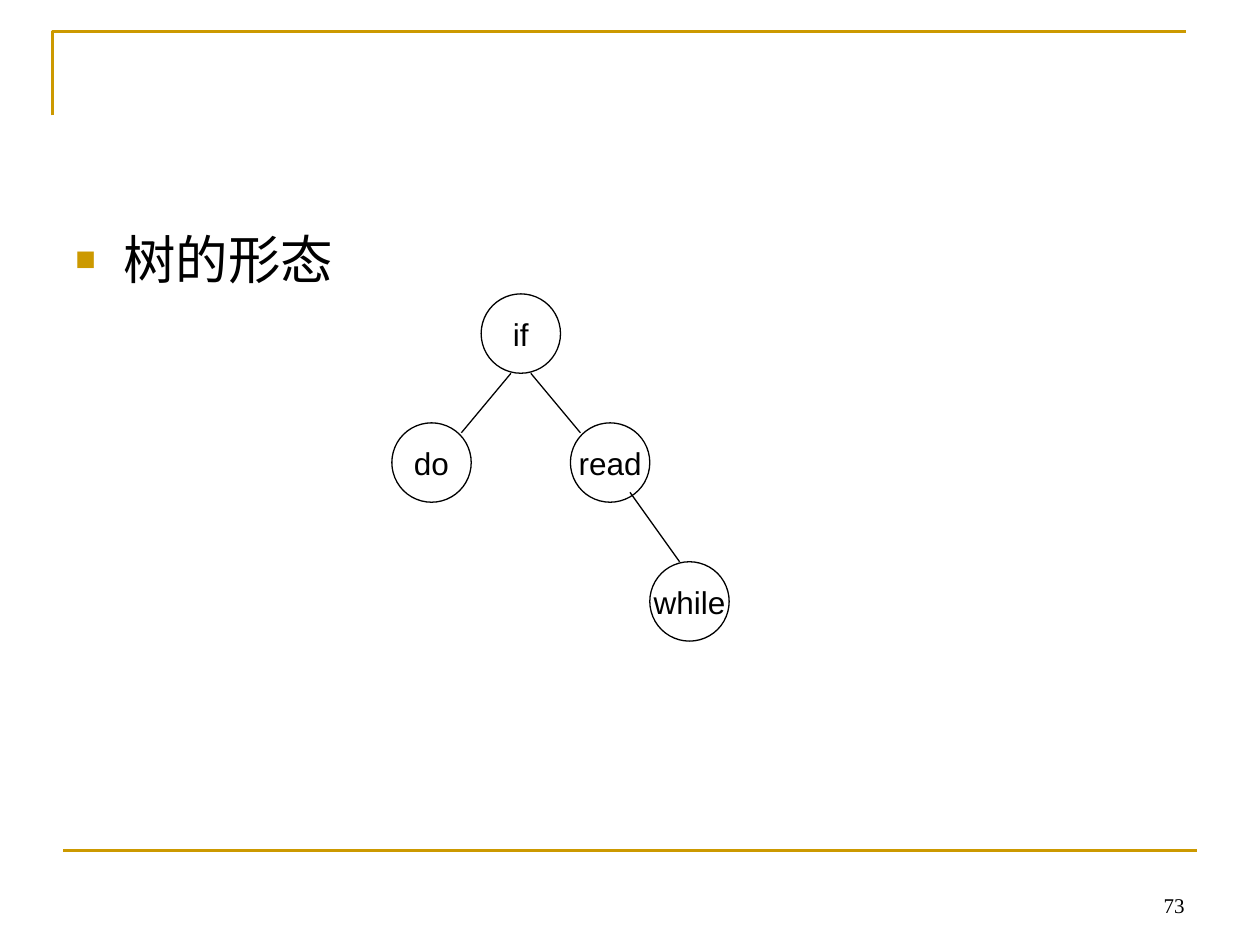
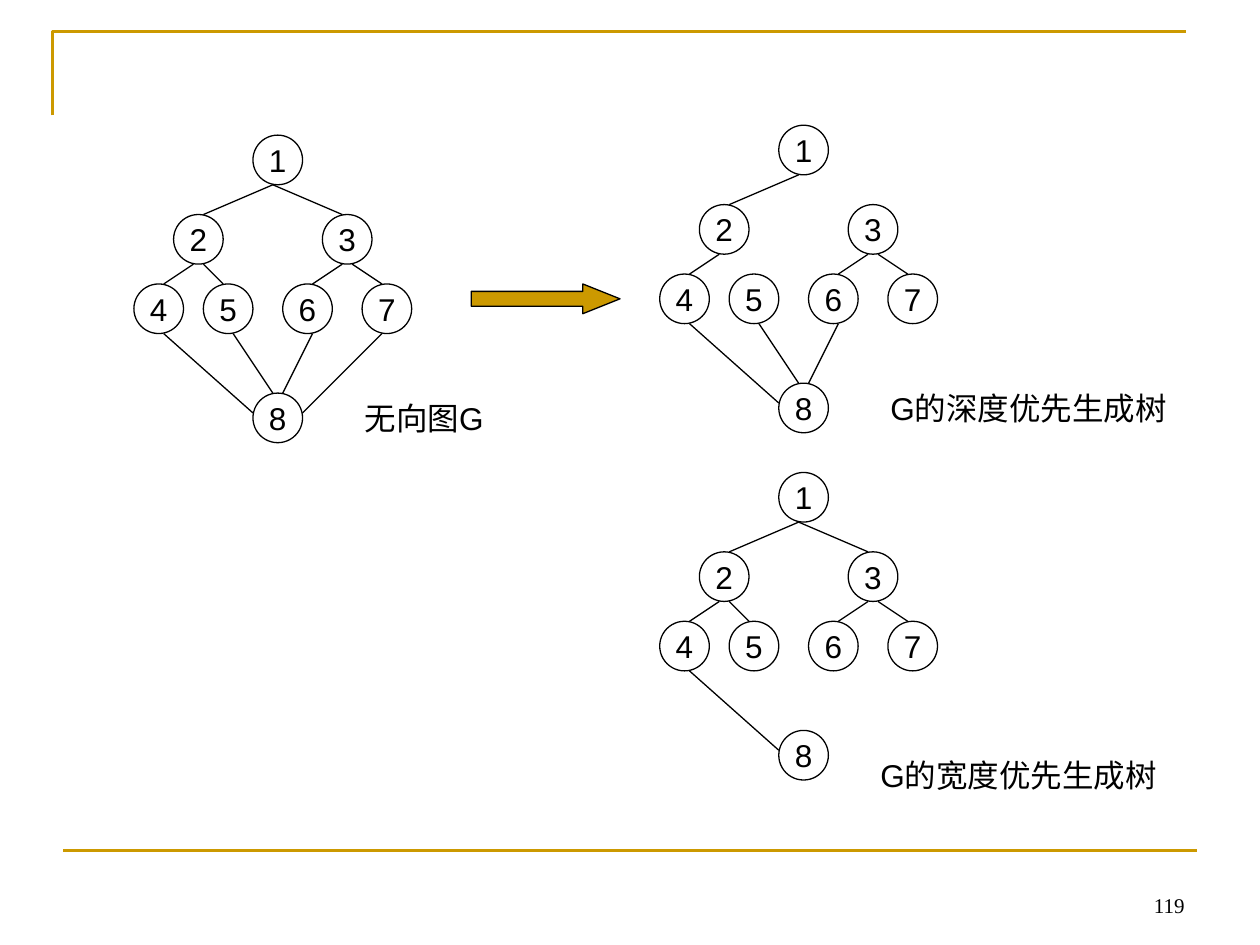
from dataclasses import dataclass
from typing import Any, NamedTuple

from lxml.etree import SubElement
from pptx import Presentation
from pptx.dml.color import RGBColor
from pptx.enum.shapes import MSO_CONNECTOR, MSO_SHAPE
from pptx.enum.text import MSO_ANCHOR, PP_ALIGN
from pptx.oxml.ns import qn
from pptx.util import Emu, Inches, Pt

WIDTH, HEIGHT = Inches(10), Inches(7.5)
Point = tuple[float, float]


@dataclass(frozen=True)
class Theme:
    """Colours, fonts, type sizes and line widths of the deck."""

    gold: RGBColor = RGBColor(0xCC, 0x99, 0x00)
    ink: RGBColor = RGBColor(0, 0, 0)
    sans: str = "Arial"
    serif: str = "Times New Roman"
    body: Pt = Pt(30)
    label: Pt = Pt(18)
    number: Pt = Pt(12)
    rule: Pt = Pt(1.5)
    edge: Pt = Pt(0.75)


@dataclass(frozen=True)
class Grid:
    """Square grid of equal columns, centred vertically on whole rows."""

    columns: int

    @property
    def step(self) -> float:
        """Return the side of one cell."""
        return WIDTH / self.columns

    def point(self, x: float, y: float) -> tuple[Emu, Emu]:
        """Return the slide position of a column and a row."""
        top = HEIGHT % self.step / 2
        return Emu(round(x * self.step)), Emu(round(top + y * self.step))

    def box(self, x: float, y: float, w: float, h: float) -> tuple[Emu, ...]:
        """Return left, top, width and height of a block of cells."""
        return *self.point(x, y), Emu(round(w * self.step)), Emu(round(h * self.step))


class Edge(NamedTuple):
    """Line between two nodes, with its ends as offsets from their centres."""

    start: str
    end: str
    leave: Point
    arrive: Point


class Caption(NamedTuple):
    """Text beside a graph, placed from the graph's first node row."""

    text: str
    x: float
    y: float
    w: float
    h: float


class Graph(NamedTuple):
    """Circles and lines placed from one origin."""

    origin: Point
    size: float
    nodes: dict[str, Point]
    edges: list[Edge]
    caption: Caption | None = None


THEME = Theme()
PAGE = Grid(120)
CANVAS = Grid(127)

KEYWORD_TREE = Graph(
    (52.5, 33.5),
    8,
    {"if": (0, 0), "do": (-9, 13), "read": (9, 13), "while": (17, 27)},
    [
        Edge("if", "do", (-1, 4), (3, -3)),
        Edge("if", "read", (1, 4), (-3, -3)),
        Edge("read", "while", (2, 3), (-1, -4)),
    ],
)

NUMBERED = {
    "1": (12, 0),
    "2": (4, 8),
    "3": (19, 8),
    "4": (0, 15),
    "5": (7, 15),
    "6": (15, 15),
    "7": (23, 15),
    "8": (12, 26),
}
LOW_LEFT, LOW_RIGHT = (-0.5, 2.5), (0.5, 2.5)
TOP_LEFT, TOP_RIGHT = (-0.5, -2.5), (0.5, -2.5)
EDGES = {
    e.start + e.end: e
    for e in (
        Edge("1", "2", LOW_LEFT, TOP_RIGHT),
        Edge("1", "3", LOW_LEFT, TOP_LEFT),
        Edge("2", "4", LOW_LEFT, TOP_RIGHT),
        Edge("2", "5", LOW_RIGHT, TOP_LEFT),
        Edge("3", "6", LOW_LEFT, TOP_RIGHT),
        Edge("3", "7", LOW_RIGHT, TOP_LEFT),
        Edge("4", "8", LOW_RIGHT, (-2.5, -0.5)),
        Edge("5", "8", LOW_RIGHT, TOP_LEFT),
        Edge("6", "8", LOW_RIGHT, TOP_RIGHT),
        Edge("7", "8", LOW_LEFT, (2.5, -0.5)),
    )
}


def numbered_graph(origin: Point, edges: str, caption: Caption) -> Graph:
    """Return the eight-node graph with the named edges."""
    return Graph(origin, 5, NUMBERED, [EDGES[e] for e in edges.split()], caption)


GRAPHS = [
    numbered_graph((16, 16), " ".join(EDGES), Caption("无向图G", 19.5, 23.5, 17, 5)),
    numbered_graph(
        (69, 50), "12 13 24 25 36 37 48", Caption("G的宽度优先生成树", 18.5, 25.5, 32, 5)
    ),
    numbered_graph(
        (69, 15), "12 24 36 37 48 58 68", Caption("G的深度优先生成树", 19.5, 23.5, 31, 9)
    ),
]


def apply(target: Any, formats: dict[str, Any]) -> None:
    """Set each named attribute on the target."""
    for name, value in formats.items():
        setattr(target, name, value)


def write(
    sp: Any, text: str, size: Pt, font: str = THEME.sans, align: Any = PP_ALIGN.LEFT, **frame: Any
) -> Any:
    """Put one styled paragraph in a shape and return the paragraph."""
    tf = sp.text_frame
    apply(tf, {"word_wrap": True, "vertical_anchor": MSO_ANCHOR.TOP} | frame)
    p = tf.paragraphs[0]
    p.alignment = align
    r = p.add_run()
    r.text = text
    apply(r.font, {"size": size, "name": font})
    r.font.color.rgb = THEME.ink
    return p


def outline(sp: Any, color: RGBColor, width: Pt, fill: RGBColor | None = None) -> None:
    """Give a shape a flat fill and line without a shadow."""
    sp.shadow.inherit = False
    sp.line.color.rgb = color
    sp.line.width = width
    if fill is None:
        sp.fill.background()
    else:
        sp.fill.solid()
        sp.fill.fore_color.rgb = fill


def draw_line(
    shapes: Any, grid: Grid, start: Point, end: Point, color: RGBColor, width: Pt
) -> None:
    """Draw a straight line between two grid points."""
    c = shapes.add_connector(MSO_CONNECTOR.STRAIGHT, *grid.point(*start), *grid.point(*end))
    c.line.color.rgb = color
    c.line.width = width
    SubElement(c._element.spPr, qn("a:effectLst"))


def draw_graph(shapes: Any, graph: Graph) -> None:
    """Draw the nodes, edges and caption of a graph."""
    ox, oy = graph.origin
    centres = {name: (ox + x, oy + y) for name, (x, y) in graph.nodes.items()}
    half = graph.size / 2
    for name, (x, y) in centres.items():
        box = CANVAS.box(x - half, y - half, graph.size, graph.size)
        sp = shapes.add_shape(MSO_SHAPE.OVAL, *box)
        outline(sp, THEME.ink, THEME.edge)
        frame = {"word_wrap": False, "vertical_anchor": MSO_ANCHOR.MIDDLE}
        write(sp, name, THEME.label, align=PP_ALIGN.CENTER, **frame)
    for e in graph.edges:
        (x1, y1), (x2, y2) = centres[e.start], centres[e.end]
        start = (x1 + e.leave[0], y1 + e.leave[1])
        end = (x2 + e.arrive[0], y2 + e.arrive[1])
        draw_line(shapes, CANVAS, start, end, THEME.ink, THEME.edge)
    if graph.caption:
        text, x, y, w, h = graph.caption
        write(shapes.add_textbox(*CANVAS.box(ox + x, oy + y, w, h)), text, THEME.label)


def add_bullet(p: Any) -> None:
    """Give a paragraph a hanging gold square bullet."""
    pPr = p._p.get_or_add_pPr()
    apply_indent = {"marL": Inches(0.38), "indent": -Inches(0.38)}
    for name, value in apply_indent.items():
        pPr.set(name, str(value))
    color = SubElement(pPr, qn("a:buClr"))
    SubElement(color, qn("a:srgbClr"), val=str(THEME.gold))
    SubElement(pPr, qn("a:buSzPct"), val="65000")
    SubElement(pPr, qn("a:buFont"), typeface=THEME.sans)
    SubElement(pPr, qn("a:buChar"), char="■")


def add_page(prs: Any, number: int) -> Any:
    """Add a blank slide with the shared frame and page number."""
    s = prs.slides.add_slide(prs.slide_layouts[6])
    builder = s.shapes.build_freeform(*PAGE.point(5, 11))
    builder.add_line_segments([PAGE.point(5, 3), PAGE.point(113, 3)], close=False)
    outline(builder.convert_to_shape(), THEME.gold, THEME.rule)
    draw_line(s.shapes, PAGE, (6, 81), (114, 81), THEME.gold, THEME.rule)
    sp = s.shapes.add_textbox(*PAGE.box(86, 82, 28, 6))
    frame = {"vertical_anchor": MSO_ANCHOR.BOTTOM}
    write(sp, str(number), THEME.number, THEME.serif, PP_ALIGN.RIGHT, **frame)
    return s


def tree_slide(prs: Any) -> None:
    """Build the slide on the shape of a tree."""
    s = add_page(prs, 73)
    sp = s.shapes.add_textbox(*PAGE.box(6, 21, 108, 59.4))
    add_bullet(write(sp, "树的形态", THEME.body))
    draw_graph(s.shapes, KEYWORD_TREE)


def spanning_slide(prs: Any) -> None:
    """Build the slide on a graph and its spanning trees."""
    s = add_page(prs, 119)
    for graph in GRAPHS:
        draw_graph(s.shapes.add_group_shape().shapes, graph)
    sp = s.shapes.add_shape(MSO_SHAPE.RIGHT_ARROW, *CANVAS.box(47.5, 28.5, 15, 3))
    sp.adjustments[0], sp.adjustments[1] = 0.5, 1.25
    outline(sp, THEME.ink, THEME.edge, THEME.gold)


def main() -> None:
    """Build and save the deck."""
    prs = Presentation()
    apply(prs, {"slide_width": WIDTH, "slide_height": HEIGHT})
    tree_slide(prs)
    spanning_slide(prs)
    prs.save("out.pptx")


if __name__ == "__main__":
    main()
